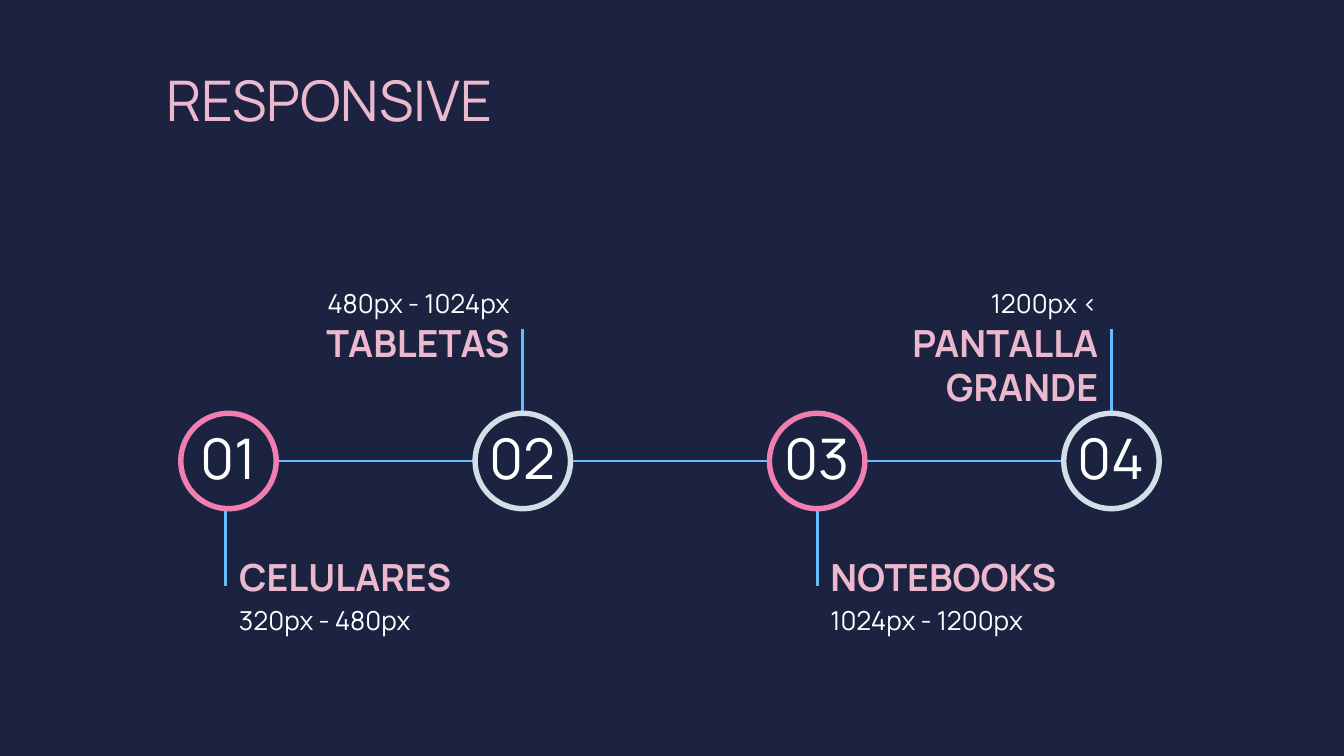
from pptx import Presentation
from pptx.dml.color import RGBColor
from pptx.enum import shapes, text
from pptx.oxml import ns
from pptx.util import Inches, Pt
from lxml import etree

NAVY = RGBColor(0x1C, 0x23, 0x40)
ROSE = RGBColor(0xEC, 0xB8, 0xCE)
PINK = RGBColor(0xF1, 0x7E, 0xB0)
SILVER = RGBColor(0xD2, 0xDF, 0xE9)
BLUE = RGBColor(0x67, 0xBB, 0xFF)
WHITE = RGBColor(0xFF, 0xFF, 0xFF)

LEFT, CENTER, RIGHT = text.PP_ALIGN.LEFT, text.PP_ALIGN.CENTER, text.PP_ALIGN.RIGHT
TOP, MIDDLE, BOTTOM = text.MSO_ANCHOR.TOP, text.MSO_ANCHOR.MIDDLE, text.MSO_ANCHOR.BOTTOM

FIRST_X, STEP, AXIS_Y = 1.7, 2.19, 3.43
RING, RIM = 0.75, 0.04


class Page:
    """Holds the style and the current slide."""
    font = "Manrope"
    line_width = Pt(1.5)
    inset = Inches(0.1)

    def __init__(self, deck):
        self.slide = deck.slides.add_slide(deck.slide_layouts[6])
        self.slide.background.fill.solid()
        self.slide.background.fill.fore_color.rgb = NAVY

    def label(self, words, left, top, width, height, size, color,
              align=LEFT, anchor=TOP, bold=False, spacing=None):
        box = self.slide.shapes.add_textbox(
            Inches(left), Inches(top), Inches(width), Inches(height))
        frame = box.text_frame
        frame.word_wrap = True
        frame.vertical_anchor = anchor
        frame.margin_left = frame.margin_right = self.inset
        frame.margin_top = frame.margin_bottom = self.inset
        para = frame.paragraphs[0]
        para.text = words
        para.alignment = align
        para.line_spacing = spacing
        para.font.name = self.font
        para.font.size = Pt(size)
        para.font.bold = bold
        para.font.color.rgb = color

    def line(self, x1, y1, x2, y2):
        line = self.slide.shapes.add_connector(
            shapes.MSO_CONNECTOR.STRAIGHT,
            Inches(x1), Inches(y1), Inches(x2), Inches(y2))
        line.line.color.rgb = BLUE
        line.line.width = self.line_width
        etree.SubElement(line._element.spPr, ns.qn("a:effectLst"))

    def ring(self, x, y, color):
        ring = self.slide.shapes.add_shape(
            shapes.MSO_SHAPE.DONUT, Inches(x - RING / 2), Inches(y - RING / 2),
            Inches(RING), Inches(RING))
        ring.adjustments[0] = RIM / RING
        ring.shadow.inherit = False
        ring.fill.solid()
        ring.fill.fore_color.rgb = color
        ring.line.fill.background()


def main():
    # Widescreen page, 16:9
    deck = Presentation()
    deck.slide_width = Inches(10)
    deck.slide_height = Inches(10 * 9 / 16)
    page = Page(deck)

    # Heading
    page.label("RESPONSIVE", 1.14, 0.39, 5.96, 0.86, 30, ROSE)

    # Timeline: name, range, whether the label hangs below, stem position
    stops = [
        ("CELULARES", "320px - 480px", True, 1.68),
        ("TABLETAS", "480px - 1024px", False, 3.89),
        ("NOTEBOOKS", "1024px - 1200px", True, 6.08),
        ("PANTALLA GRANDE", "1200px <", False, 8.27),
    ]
    for index, (name, pixels, below, stem) in enumerate(stops):
        x = FIRST_X + index * STEP

        # Lines to the label and to the next stop
        if below:
            page.line(stem, 3.77, stem, 4.36)
        else:
            page.line(stem, 2.45, stem, 3.07)
        if index < len(stops) - 1:
            page.line(x + 0.36, AXIS_Y, x + STEP - 0.35, AXIS_Y)

        # Numbered ring
        page.ring(x, AXIS_Y, PINK if below else SILVER)
        page.label(f"{index + 1:02}", x - 0.5, 3.09, 1, 0.63, 30, WHITE,
                   CENTER, MIDDLE)

        # Device name and screen range
        if below:
            page.label(name, stem, 4.02, 2.08, 0.63, 20, ROSE, bold=True)
            page.label(pixels, stem, 4.36, 2.4, 0.93, 14, WHITE, spacing=1.15)
        else:
            page.label(name, stem - 2.08, 2.28, 2.08, 0.63, 20, ROSE, RIGHT,
                       bold=True)
            page.label(pixels, stem - 2.5, 1.55, 2.5, 0.92, 14, WHITE, RIGHT,
                       BOTTOM, spacing=1.15)

    deck.save("out.pptx")


if __name__ == "__main__":
    main()
